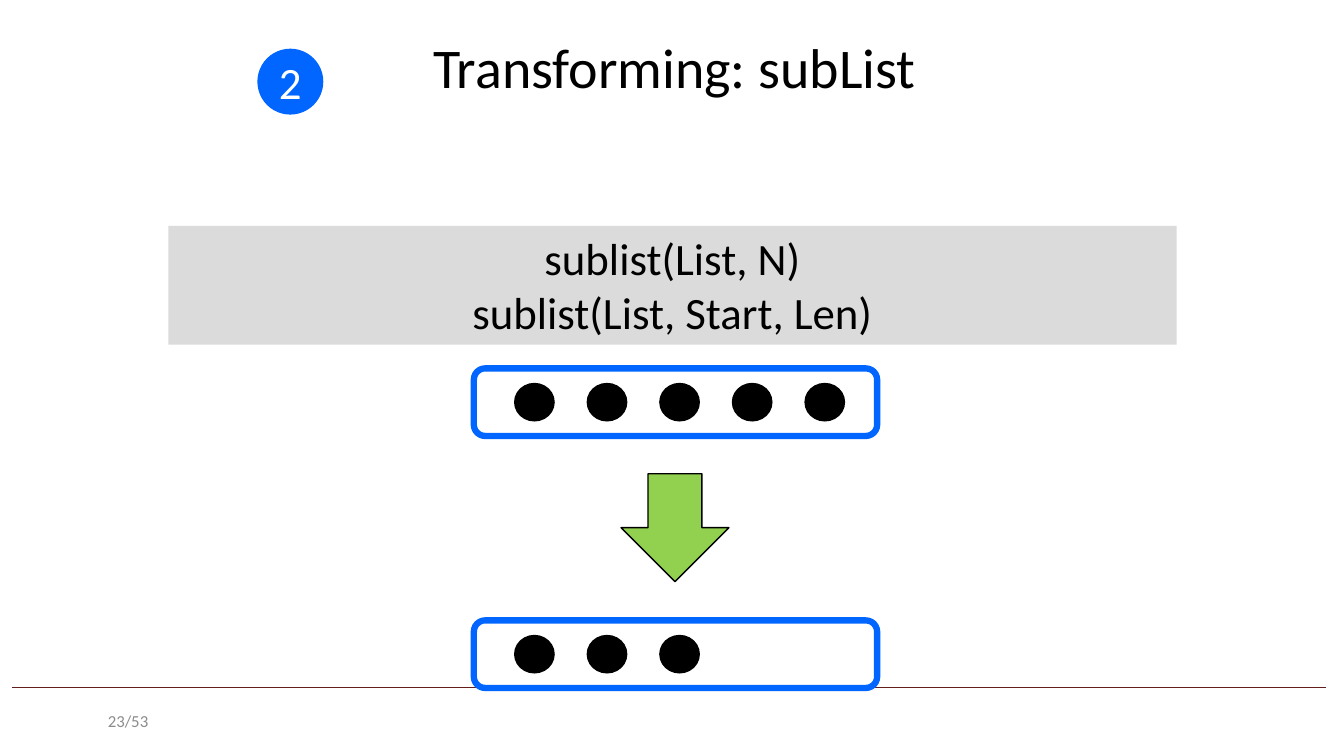
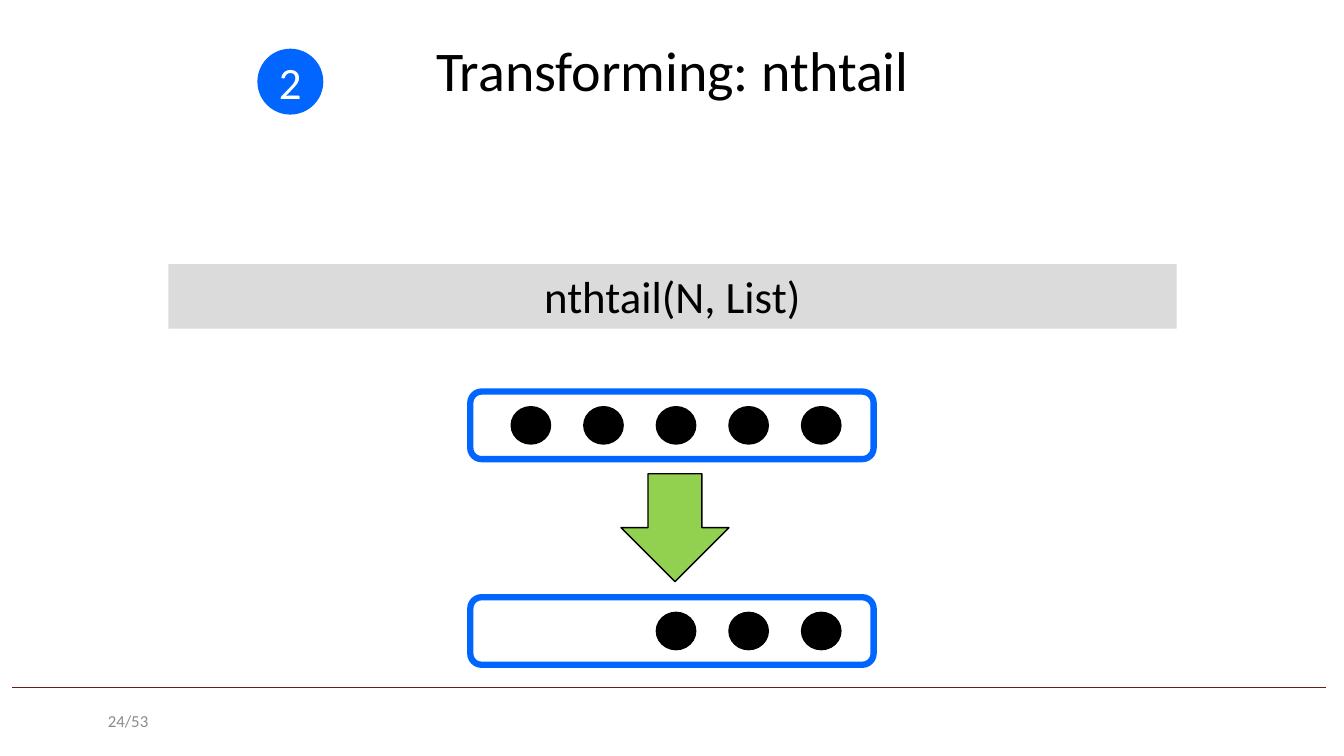
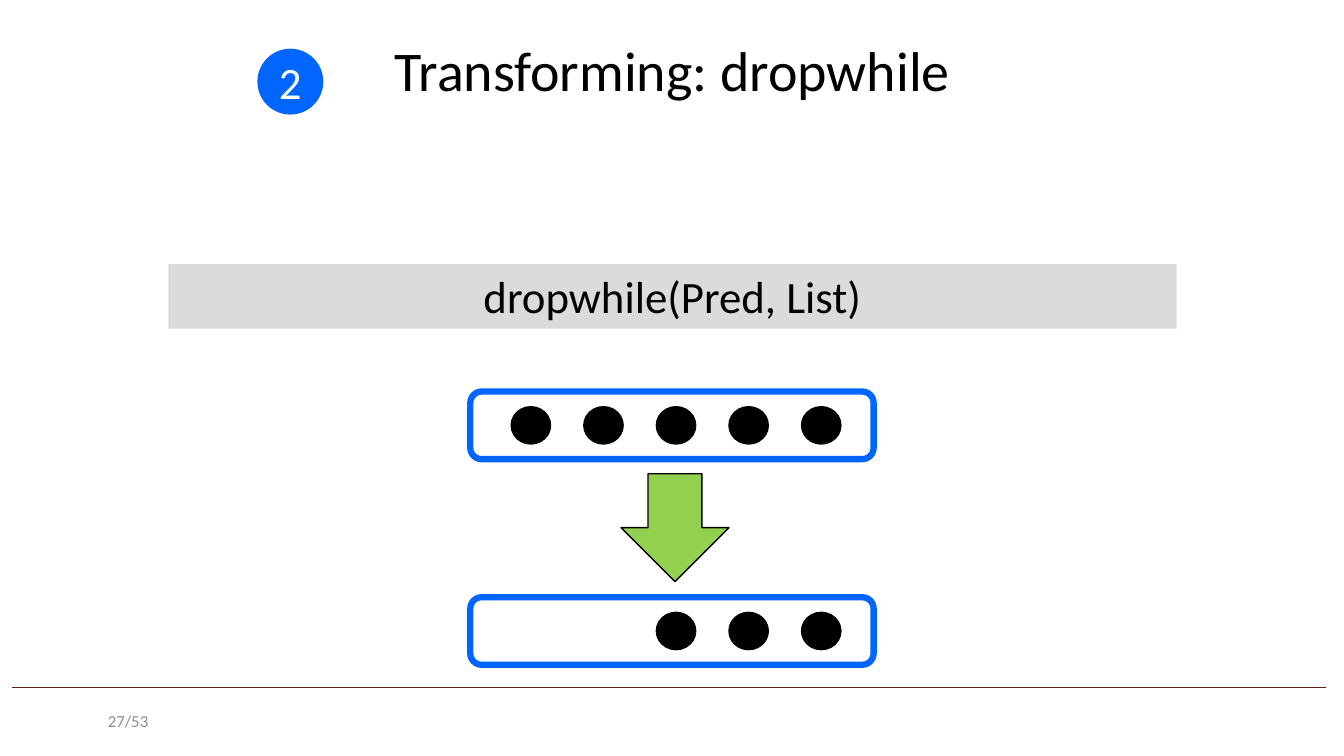
from pptx import Presentation
from pptx.dml.color import RGBColor
from pptx.enum.shapes import MSO_CONNECTOR, MSO_SHAPE as SHAPE
from pptx.enum.text import MSO_ANCHOR as ANCHOR, MSO_AUTO_SIZE as FIT, PP_ALIGN as ALIGN
from pptx.oxml.ns import qn
from pptx.util import Inches, Pt
from lxml.etree import SubElement

# Shared look
WIDTH, HEIGHT = 13.33, 7.5
FONT = "Calibri"
BLUE, GREEN, GREY = "0066FF", "92D050", "DBDBDB"
BLACK, WHITE, PAGE_GREY, RULE = "000000", "FFFFFF", "8C8C8C", "631D1D"

# List diagram: a frame with five columns of dots
FRAME_W, FRAME_H = 4, 0.67
DOT_W, DOT_H = 0.39, 0.37
COLUMNS, STEP, DOT_SHIFT = 5, 0.72, 0.04
ARROW = 1.07

# title, title box, signature, band top, band height, middle x, frame rows, kept columns, page
LESSONS = [
    ("subList", (0.94, 0.26, 11.5, 0.87), "sublist(List, N)\vsublist(List, Start, Len)",
     2.24, 1.18, 6.7, (3.99, 6.49), (0, 1, 2), 23),
    ("nthtail", (1.67, 0.33, 10, 0.8), "nthtail(N, List)",
     2.62, 0.64, WIDTH / 2, (4.22, 6.26), (2, 3, 4), 24),
    ("dropwhile", (1.67, 0.33, 10, 0.8), "dropwhile(Pred, List)",
     2.62, 0.64, WIDTH / 2, (4.22, 6.26), (2, 3, 4), 27),
]


def add_figure(slide, kind, box, fill=None, line=None, line_width=1):
    figure = slide.shapes.add_shape(kind, *map(Inches, box))
    figure.shadow.inherit = False
    for paint, colour in ((figure.fill, fill), (figure.line.fill, line)):
        if colour:
            paint.solid()
            paint.fore_color.rgb = RGBColor.from_string(colour)
        else:
            paint.background()
    if line:
        figure.line.width = Pt(line_width)
    return figure


def write(holder, text, size, colour, align=ALIGN.CENTER, anchor=ANCHOR.MIDDLE, fit=FIT.NONE):
    frame = holder.text_frame
    frame.word_wrap = True
    frame.auto_size = fit
    frame.vertical_anchor = anchor
    paragraph = frame.paragraphs[0]
    paragraph.text = text
    paragraph.alignment = align
    paragraph.font.name = FONT
    paragraph.font.size = Pt(size)
    paragraph.font.color.rgb = RGBColor.from_string(colour)
    return paragraph


deck = Presentation()
deck.slide_width, deck.slide_height = Inches(WIDTH), Inches(HEIGHT)
title_only = deck.slide_layouts[5]

for name, title_box, signature, band_top, band_h, middle, rows, kept, page in LESSONS:
    slide = deck.slides.add_slide(title_only)

    # Footer rule and page number
    rule = slide.shapes.add_connector(
        MSO_CONNECTOR.STRAIGHT, *map(Inches, (0.12, 6.82, 13.15, 6.82)))
    rule.line.color.rgb = RGBColor.from_string(RULE)
    rule.line.width = Pt(0.25)
    SubElement(rule._element.spPr, qn("a:effectLst"))
    page_number = slide.shapes.add_textbox(*map(Inches, (0.93, 6.95, 0.64, 0.4)))
    write(page_number, f"{page}/53", 12, PAGE_GREY, ALIGN.RIGHT)

    # Title and section badge
    title = slide.shapes.title
    title.left, title.top, title.width, title.height = map(Inches, title_box)
    write(title, f"Transforming: {name}", 40, BLACK).line_spacing = 0.9
    badge = add_figure(slide, SHAPE.OVAL, (2.56, 0.49, 0.64, 0.64), BLUE, BLUE)
    write(badge, "2", 32, WHITE)

    # Signature band
    band = add_figure(slide, SHAPE.RECTANGLE, (1.67, band_top, 10, band_h), GREY)
    write(band, signature, 32, BLACK, anchor=ANCHOR.TOP, fit=FIT.SHAPE_TO_FIT_TEXT)

    # List before and after, with the arrow between
    add_figure(slide, SHAPE.DOWN_ARROW, (6.16, 4.7, ARROW, ARROW), GREEN, BLACK)
    for row, columns in zip(rows, (range(COLUMNS), kept)):
        add_figure(slide, SHAPE.ROUNDED_RECTANGLE,
                   (middle - FRAME_W / 2, row - FRAME_H / 2, FRAME_W, FRAME_H),
                   line=BLUE, line_width=4.5)
        for column in columns:
            dot_x = middle + DOT_SHIFT + (column - COLUMNS // 2) * STEP
            add_figure(slide, SHAPE.OVAL,
                       (dot_x - DOT_W / 2, row - DOT_H / 2, DOT_W, DOT_H), BLACK, BLACK)

deck.save("out.pptx")
